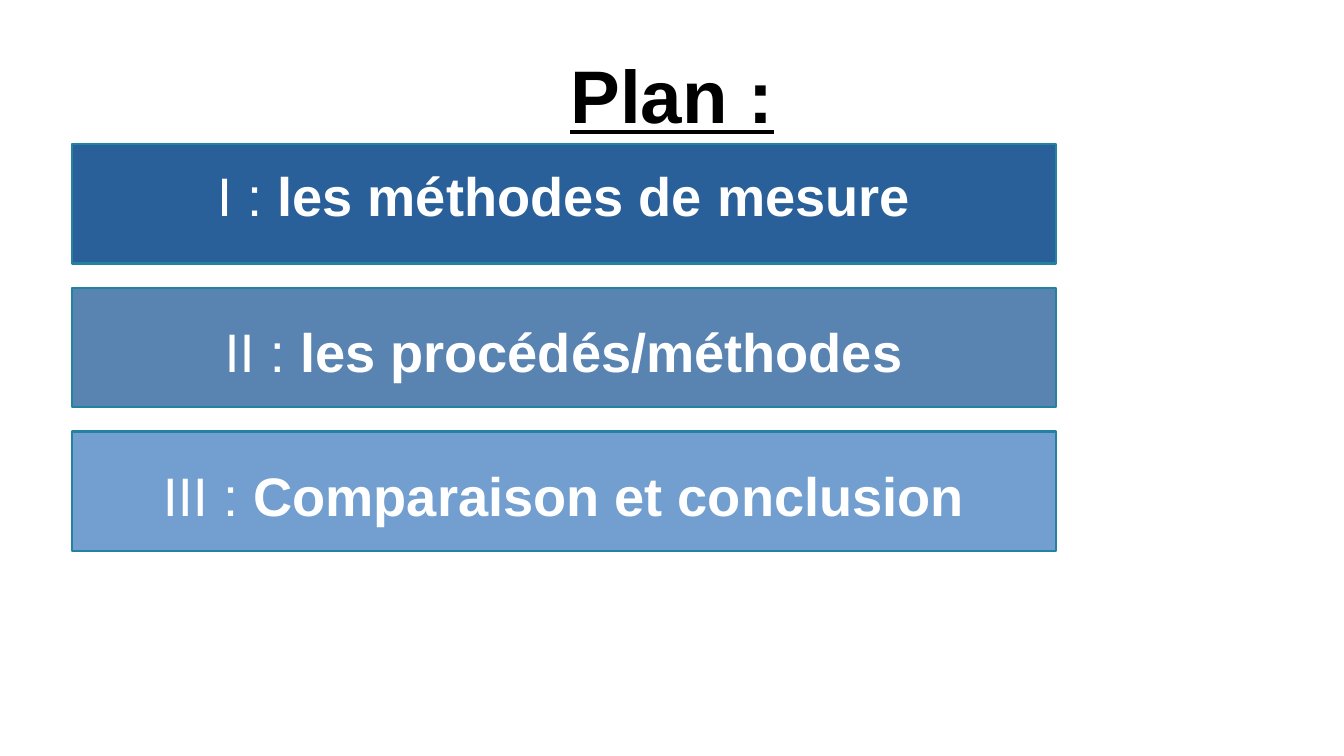
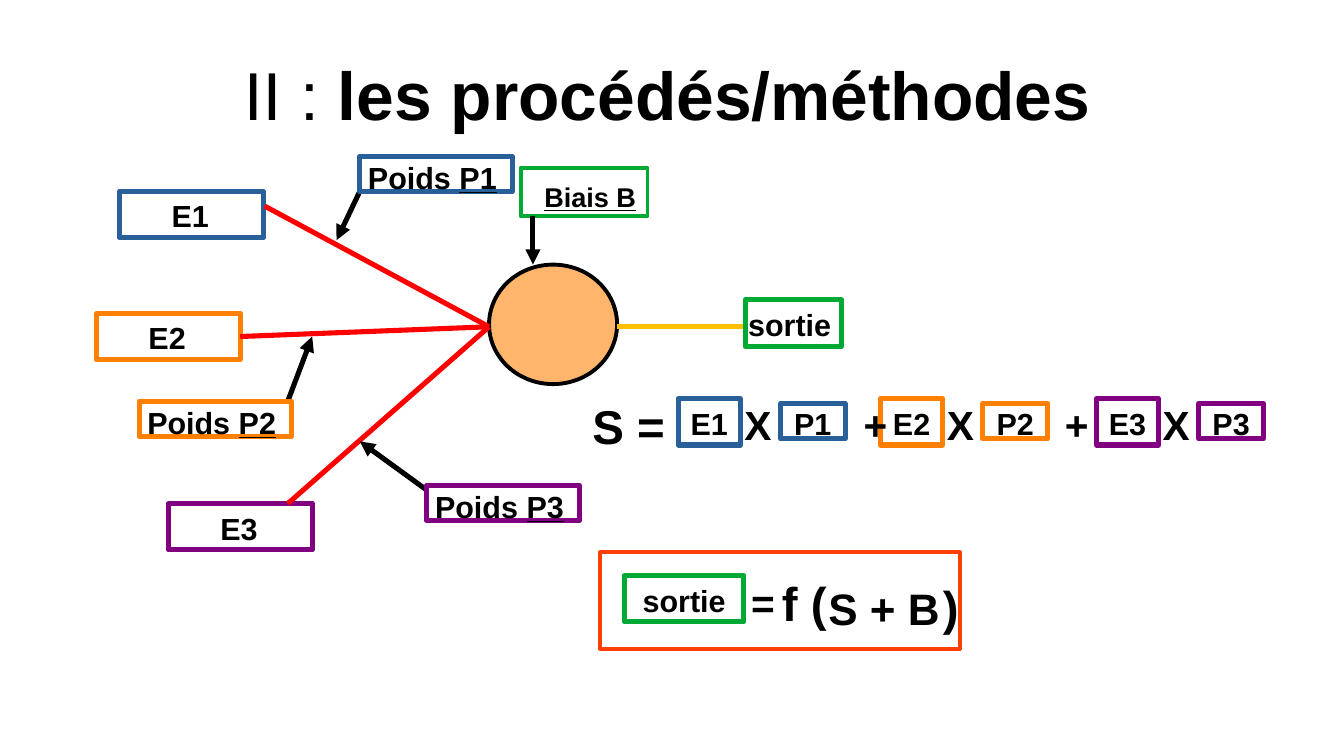
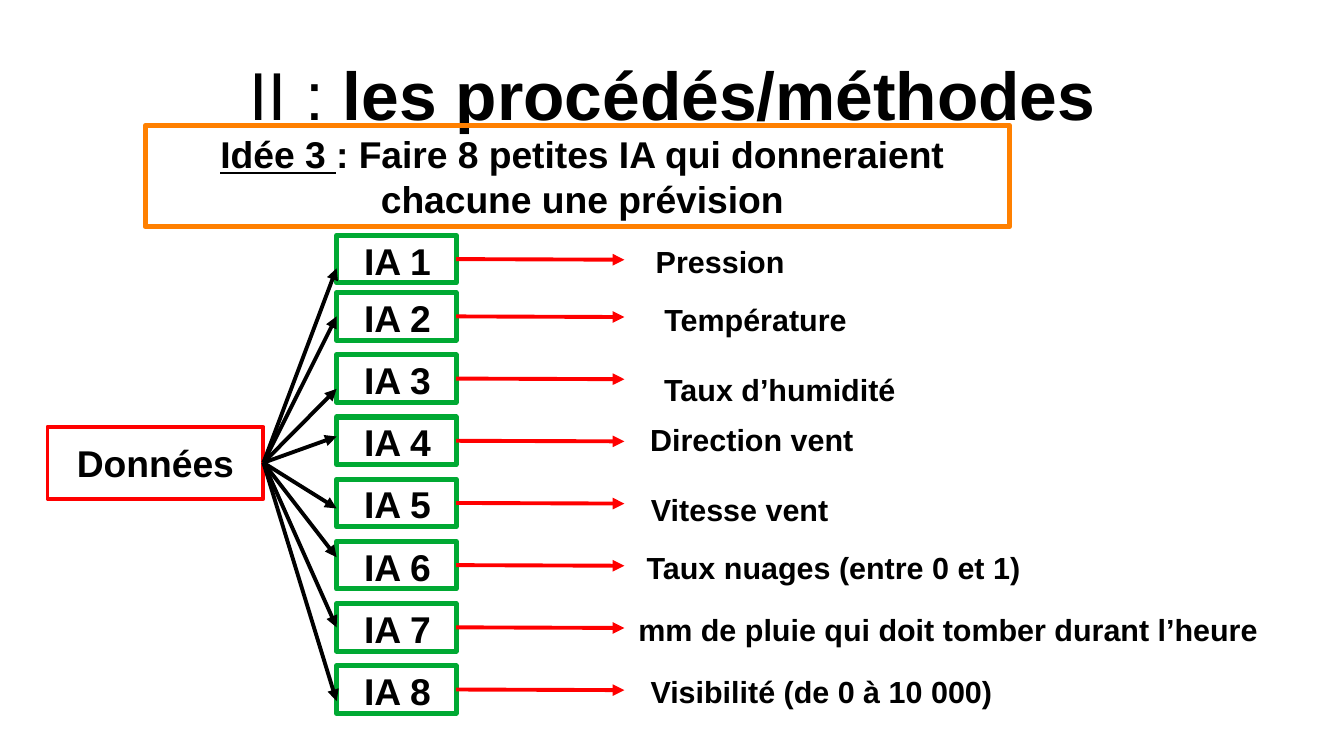
from lxml.etree import SubElement
from pptx import Presentation
from pptx.dml.color import RGBColor
from pptx.enum.shapes import MSO_CONNECTOR, MSO_SHAPE
from pptx.enum.text import MSO_ANCHOR, PP_ALIGN
from pptx.oxml.ns import qn
from pptx.util import Inches, Pt

FONT = "Arial"
BLACK = RGBColor(0x00, 0x00, 0x00)
WHITE = RGBColor(0xFF, 0xFF, 0xFF)
BLUE = RGBColor(0x2A, 0x60, 0x99)
MID_BLUE = RGBColor(0x59, 0x83, 0xB0)
LIGHT_BLUE = RGBColor(0x72, 0x9F, 0xCF)
TEAL = RGBColor(0x23, 0x82, 0xA1)
ORANGE = RGBColor(0xFF, 0x80, 0x00)
PEACH = RGBColor(0xFF, 0xB6, 0x6C)
YELLOW = RGBColor(0xFF, 0xBF, 0x00)
PURPLE = RGBColor(0x80, 0x00, 0x80)
GREEN = RGBColor(0x00, 0xA9, 0x33)
RED = RGBColor(0xFF, 0x00, 0x00)
VERMILION = RGBColor(0xFF, 0x40, 0x00)


def add_box(slide, at, text="", size=18, line=None, width=3, fill=None, color=BLACK,
            kind=MSO_SHAPE.RECTANGLE, shift=0, top=0.05, anchor=MSO_ANCHOR.TOP):
    """Add a shape, or a text box when it has no line or fill.

    text is a bold string or a list of (text, style), style holding "b" and "u".
    shift moves the centred text sideways, top is the inset above it.
    """
    place = [Inches(length) for length in at]
    if line is None and fill is None:
        shape = slide.shapes.add_textbox(*place)
    else:
        shape = slide.shapes.add_shape(kind, *place)
        shape.shadow.inherit = False
        shape.line.color.rgb = line
        shape.line.width = Pt(width)
        if fill is None:
            shape.fill.background()
        else:
            shape.fill.solid()
            shape.fill.fore_color.rgb = fill
    frame = shape.text_frame
    frame.word_wrap = True
    frame.vertical_anchor = anchor
    frame.margin_left = Inches(max(0, 2 * shift))
    frame.margin_right = Inches(max(0, -2 * shift))
    frame.margin_top = Inches(top)
    frame.margin_bottom = 0
    paragraph = frame.paragraphs[0]
    paragraph.alignment = PP_ALIGN.CENTER
    for words, style in [(text, "b")] if isinstance(text, str) else text:
        run = paragraph.add_run()
        run.text = words
        run.font.name = FONT
        run.font.size = Pt(size)
        run.font.color.rgb = color
        run.font.bold = "b" in style
        run.font.underline = "u" in style
    return shape


def add_line(slide, start, end, color, width=3, arrow=False, begin_box=None, end_box=None):
    """Add a line, joined to the right of begin_box and the left of end_box."""
    points = [Inches(length) for length in (*start, *end)]
    connector = slide.shapes.add_connector(MSO_CONNECTOR.STRAIGHT, *points)
    if begin_box is not None:
        connector.begin_connect(begin_box, 3)
    if end_box is not None:
        connector.end_connect(end_box, 1)
    connector.line.color.rgb = color
    connector.line.width = Pt(width)
    if arrow:
        SubElement(connector.line._get_or_add_ln(), qn("a:tailEnd"), type="triangle")
    SubElement(connector._element.spPr, qn("a:effectLst"))


presentation = Presentation()
presentation.slide_width = Inches(11.02)
presentation.slide_height = Inches(6.2)

# Slides and their titles
METHODS = [("II : ", ""), ("les procédés/méthodes", "b")]
slides = []
for left, title, size in [(0.55, [("Plan :", "bu")], 44), (0.51, METHODS, 40), (0.55, METHODS, 40)]:
    slide = presentation.slides.add_slide(presentation.slide_layouts[6])
    add_box(slide, (left, 0.25, 9.92, 1.04), title, size, top=0, anchor=MSO_ANCHOR.MIDDLE)
    slides.append(slide)
plan_slide, neuron_slide, models_slide = slides

# Plan: three bands
bands = [
    ([("I : ", ""), ("les méthodes de mesure", "b")], BLUE, 0.15),
    (METHODS, MID_BLUE, 0.25),
    ([("III :", ""), (" Comparaison et conclusion", "b")], LIGHT_BLUE, 0.25),
]
for row, (text, fill, top) in enumerate(bands):
    add_box(plan_slide, (0.59, 1.18 + 1.18 * row, 8.07, 0.98), text, 32,
            TEAL, 1.42, fill, WHITE, top=top)

# Neuron: body, output and bias
add_box(neuron_slide, (4.01, 2.17, 1.05, 0.98), line=BLACK, width=2.3, fill=PEACH,
        kind=MSO_SHAPE.OVAL)
add_line(neuron_slide, (5.06, 2.68), (6.1, 2.68), YELLOW)
add_box(neuron_slide, (6.11, 2.46, 0.79, 0.38), "sortie", line=GREEN, shift=-0.03)
add_box(neuron_slide, (4.27, 1.38, 1.04, 0.39), [("Biais B", "bu")], 16, GREEN, 2.3,
        shift=0.05, top=0.1)
add_line(neuron_slide, (4.37, 1.77), (4.37, 2.17), BLACK, arrow=True)

# Neuron: inputs, weights and the weighted sum
# (colour, input place, link start, weight place, arrow start, arrow end, term left)
inputs = [
    (BLUE, (0.98, 1.57), (2.17, 1.69), (2.95, 1.28), (2.95, 1.57), (2.76, 1.97), 5.56),
    (ORANGE, (0.79, 2.57), (1.97, 2.76), (1.14, 3.29), (2.36, 3.29), (2.56, 2.76), 7.22),
    (PURPLE, (1.38, 4.13), (2.36, 4.13), (3.5, 3.98), (3.5, 4.02), (2.95, 3.62), 8.99),
]
add_box(neuron_slide, (4.72, 3.21, 0.87, 0.53), "S =", 28)
for number, (color, place, link, weight, start, end, left) in enumerate(inputs, 1):
    input_box = add_box(neuron_slide, (*place, 1.18, 0.38), f"E{number}", line=color, shift=-0.01)
    add_line(neuron_slide, link, (4.01, 2.68), RED,
             begin_box=input_box if number == 2 else None)
    add_line(neuron_slide, start, end, BLACK, arrow=True)
    add_box(neuron_slide, (*weight, 1.25, 0.29), [("Poids ", "b"), (f"P{number}", "bu")],
            line=color, shift=-0.03, top=0.02)
    add_box(neuron_slide, (left, 3.27, 0.51, 0.38), f"E{number}", line=color)
    add_box(neuron_slide, (left + 0.46, 3.23, 0.39, 0.47), "X", 24)
    add_box(neuron_slide, (left + 0.84, 3.31, 0.53, 0.29), f"P{number}", line=color, top=0.01)
for left in (6.98, 8.63):
    add_box(neuron_slide, (left, 3.23, 0.4, 0.47), "+", 24)

# Neuron: output formula
add_box(neuron_slide, (4.92, 4.53, 2.95, 0.79), line=VERMILION, width=2.3)
add_box(neuron_slide, (5.12, 4.72, 0.98, 0.38), "sortie", line=GREEN)
add_box(neuron_slide, (6.06, 4.69, 0.39, 0.47), "=", 24)
add_box(neuron_slide, (6.3, 4.66, 0.59, 0.53), "f (", 28)
add_box(neuron_slide, (6.69, 4.72, 1.12, 0.5), "S + B", 26)
add_box(neuron_slide, (7.6, 4.69, 0.39, 0.53), ")", 28)

# Models: idea and data
idea = [("Idée 3 ", "bu"), (": Faire 8 petites IA qui donneraient chacune une prévision", "b")]
add_box(models_slide, (1.19, 1.03, 7.09, 0.83), idea, 22, ORANGE, shift=0.04)
data_box = add_box(models_slide, (0.39, 3.5, 1.77, 0.59), "Données", 22, RED, 2.3, top=0.11)

# Models: one row each (forecast, its left, top and width, height of the data arrow's tip)
forecasts = [
    ("Pression", 5.12, 1.94, 1.57, 2.2),
    ("Température", 5.31, 2.42, 1.77, 2.6),
    ("Taux d’humidité", 5.31, 2.99, 2.17, 3.19),
    ("Direction vent", 5.08, 3.4, 2.17, 3.58),
    ("Vitesse vent", 5.08, 3.98, 1.97, 4.17),
    ("Taux nuages (entre 0 et 1)", 5.16, 4.45, 3.35, 4.57),
    ("mm de pluie qui doit tomber durant l’heure", 5.12, 4.96, 5.31, 5.16),
    ("Visibilité (de 0 à 10 000)", 5.16, 5.47, 3.15, 5.75),
]
for row, (forecast, left, top, width, tip) in enumerate(forecasts):
    box_top = 1.89 + 0.51 * row if row else 1.93
    middle = box_top + 0.2
    model_box = add_box(models_slide, (2.76, box_top, 0.98, 0.39), f"IA {row + 1}", 22, GREEN,
                        shift=0.01, top=0.02)
    add_line(models_slide, (2.17, 3.78), (2.76, tip), BLACK, 2.3, True, data_box,
             model_box if abs(tip - middle) < 0.02 else None)
    add_line(models_slide, (3.74, middle), (5.12, middle), RED, 2.3, True, model_box)
    add_box(models_slide, (left, top, width, 0.38), forecast)

presentation.save("out.pptx")
